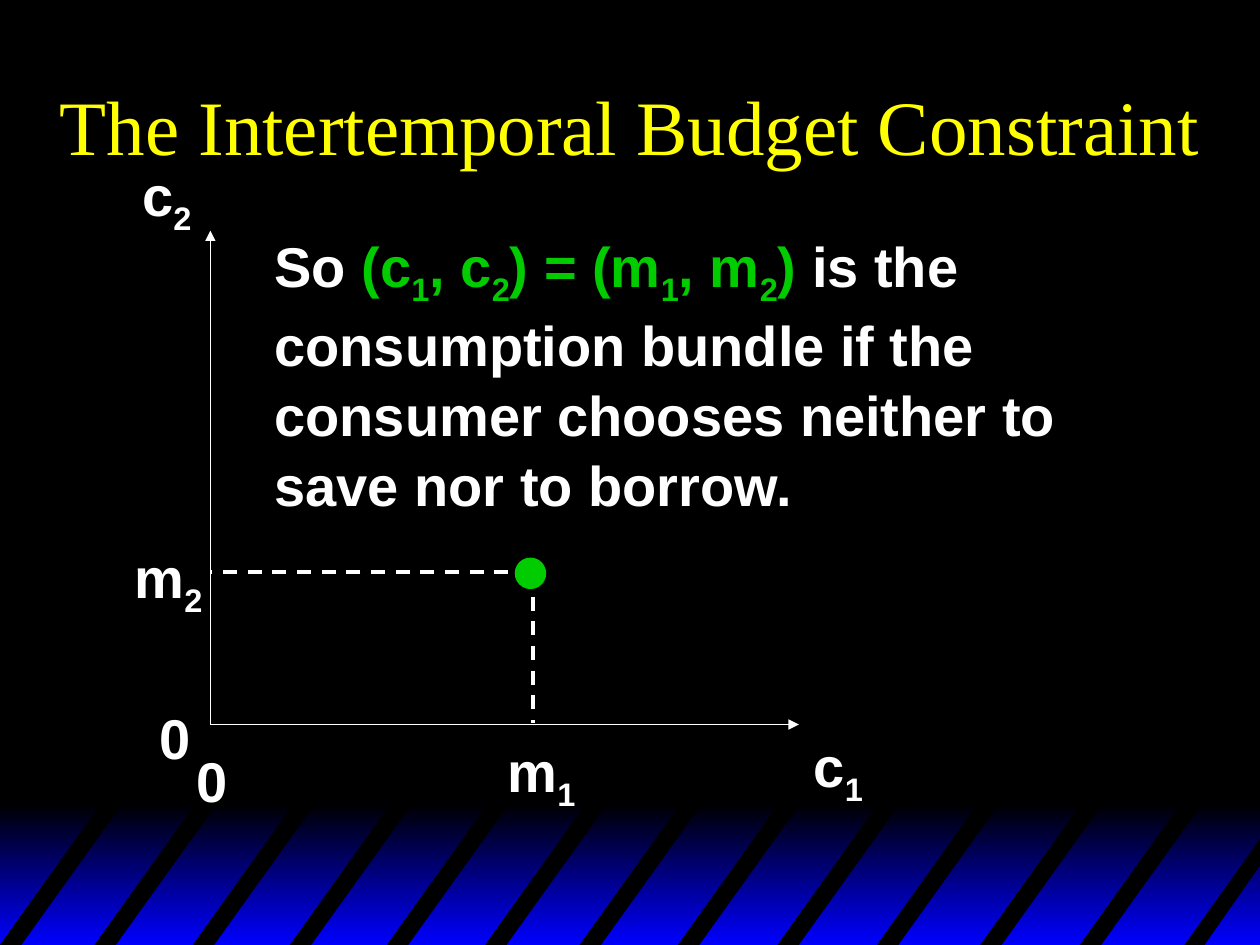
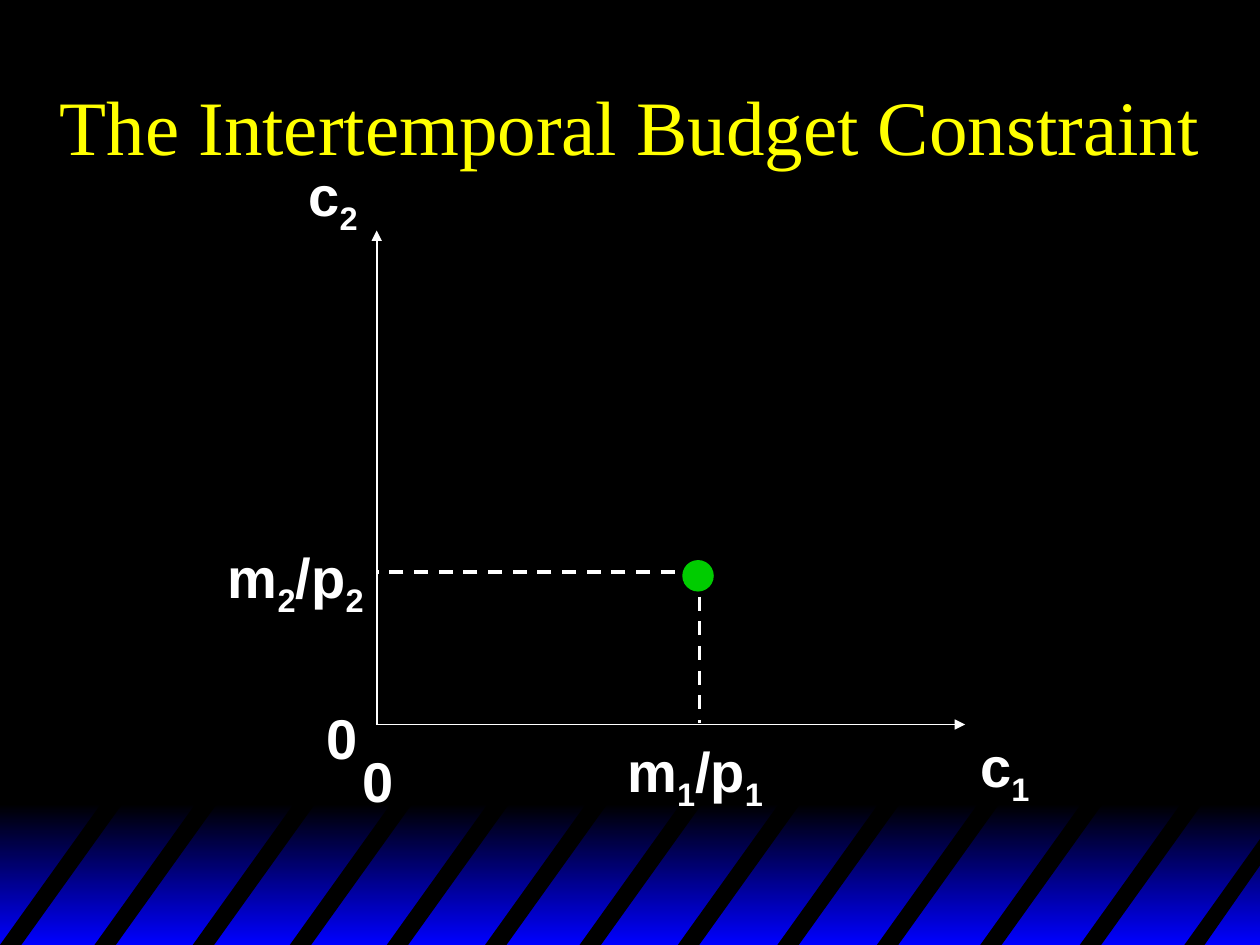
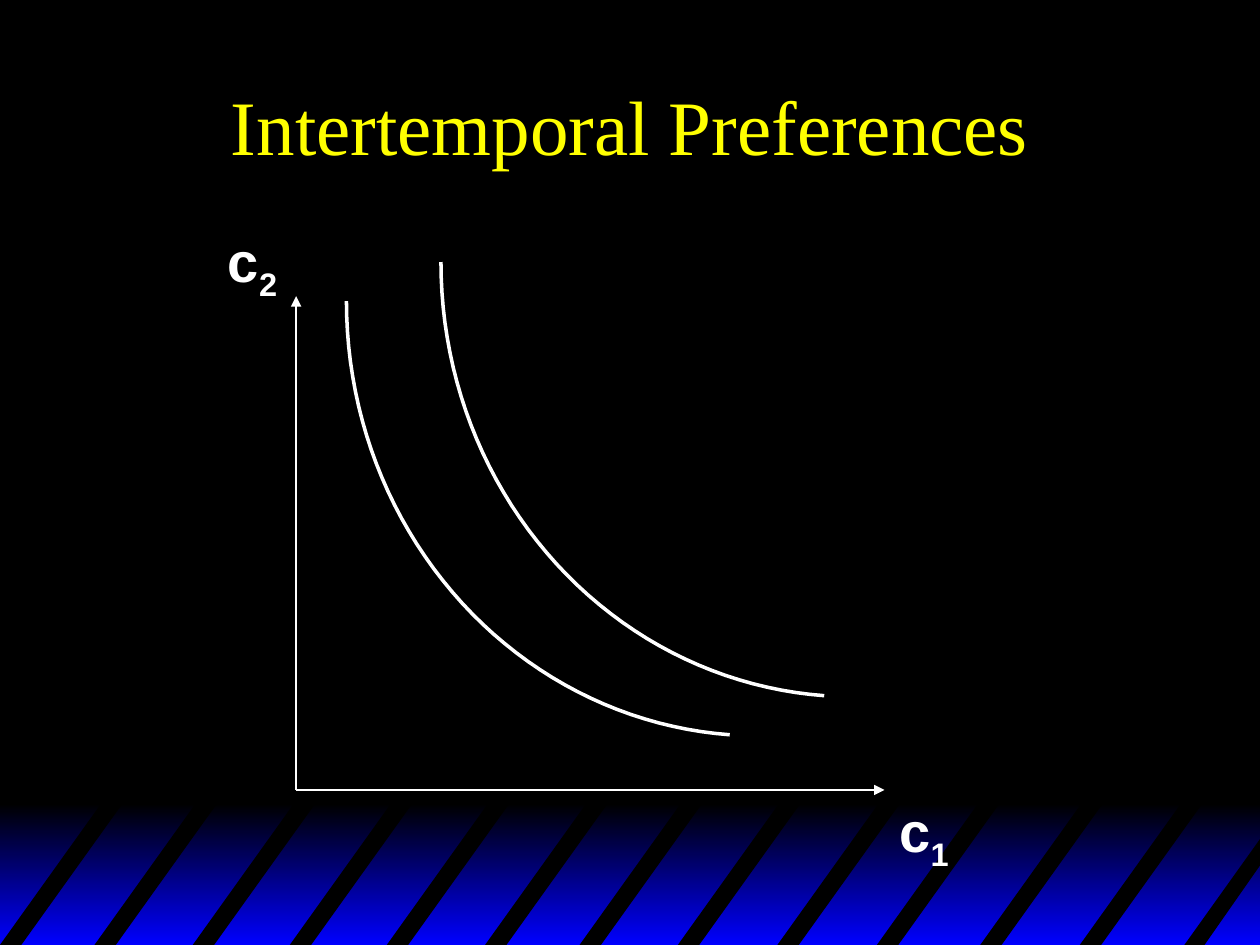
import math
from dataclasses import dataclass

from lxml import etree
from pptx import Presentation
from pptx import util as u
from pptx.dml.color import RGBColor
from pptx.enum import dml, shapes, text
from pptx.oxml import ns


@dataclass(frozen=True)
class Theme:
    background = RGBColor(0, 0, 0)
    band = RGBColor(0, 0, 255)
    title = RGBColor(255, 255, 0)
    ink = RGBColor(255, 255, 255)
    accent = RGBColor(0, 204, 0)
    title_font = "Times New Roman"
    label_font = "Arial"
    title_size = u.Pt(44)
    label_size = u.Pt(32)
    axis_width = u.Pt(1)
    curve_width = u.Pt(2)


theme = Theme()
presentation = Presentation()
presentation.slide_width = u.Inches(10)
presentation.slide_height = u.Inches(7.5)
columns, rows = 10, 7.5
cell = presentation.slide_width // columns


def place(*lengths):
    return [round(length * cell) for length in lengths]


def write(slide, box, content, font, size, color, top_inset, highlighted=()):
    text_frame = slide.shapes.add_textbox(*place(*box)).text_frame
    text_frame.margin_top = place(top_inset)[0]
    paragraph = text_frame.paragraphs[0]
    paragraph.line_spacing = 1.04
    for index, piece in enumerate(content.split("|")):
        if piece == "\n":
            paragraph.add_line_break()
            continue
        run = paragraph.add_run()
        run.text = piece.removeprefix("_")
        run.font.name = font
        run.font.size = size
        run.font.bold = font == theme.label_font
        run.font.color.rgb = theme.accent if index in highlighted else color
        if piece.startswith("_"):
            run.font._element.set("baseline", "-25000")
    return text_frame


budget_title = "The Intertemporal Budget Constraint"
bundle_text = (
    "So |(c|_1|, c|_2|) = (m|_1|, m|_2|)| is the|\n|consumption bundle if the|\n|"
    "consumer chooses neither to|\n|save nor to borrow."
)
zeros = [((-0.21, 0.05, 0.45, 0.63), "0"), ((-0.5, -0.29, 0.45, 0.63), "0")]
diagrams = [
    {
        "title": budget_title,
        "origin": (1.67, 5.75),
        "labels": zeros + [((-0.7, -1.57, 0.74, 0.71), "m|_2"), ((2.26, -0.03, 0.74, 0.71), "m|_1")],
        "bundle": (2.54, -1.2),
        "curves": [],
    },
    {
        "title": budget_title,
        "origin": (2.99, 5.75),
        "labels": zeros + [((-1.28, -1.57, 1.28, 0.71), "m|_2|/p|_2"), ((1.89, -0.03, 1.28, 0.71), "m|_1|/p|_1")],
        "bundle": (2.55, -1.18),
        "curves": [],
    },
    {
        "title": "Intertemporal Preferences",
        "origin": (2.35, 6.27),
        "labels": [],
        "bundle": None,
        "curves": [(6.02, 2.39), (6.77, 2.08)],
    },
]
axis_labels = [((4.69, -0.07, 0.59, 0.71), "c|_1"), ((-0.64, -4.6, 0.59, 0.71), "c|_2")]
axes = [((0, 0), (0, -3.92)), ((0, 0), (4.67, 0))]
guides = [((2.56, -1.21), (0, -1.21)), ((2.56, -1.21), (2.56, -0.01))]
dot_size = 0.25
curve_radii = (3.27, 3.45)

stripe_top = 6.34
stripe_lean, stripe_width = 0.83, 0.17
stripe_starts = [0, 0.75, 1.53, 2.3, 3.07, 3.85, 4.6, 5.38, 6.17, 6.96, 7.78, 8.57]
stripes = [
    [(start, rows), (start + stripe_lean, stripe_top),
     (start + stripe_lean + stripe_width, stripe_top), (start + stripe_width, rows)]
    for start in stripe_starts
]
stripes.append([(9.4, rows), (columns, 6.66), (columns, 6.87), (9.56, rows)])

background = presentation.slide_master.background.fill
background.solid()
background.fore_color.rgb = theme.background

for diagram in diagrams:
    slide = presentation.slides.add_slide(presentation.slide_layouts[6])
    left, top = diagram["origin"]

    band = slide.shapes.add_shape(shapes.MSO_SHAPE.RECTANGLE, *place(0, 6.38, columns, rows - 6.38))
    band.shadow.inherit = False
    band.line.fill.background()
    band.fill.gradient()
    band.fill.gradient_angle = 270
    for stop, position, color in zip(band.fill.gradient_stops, (0, 1), (theme.background, theme.band)):
        stop.position = position
        stop.color.rgb = color

    for corners in stripes:
        builder = slide.shapes.build_freeform(*place(*corners[0]))
        builder.add_line_segments([place(*corner) for corner in corners[1:]], close=True)
        stripe = builder.convert_to_shape()
        stripe.shadow.inherit = False
        stripe.fill.solid()
        stripe.fill.fore_color.rgb = theme.background
        stripe.line.fill.background()

    title_frame = write(slide, (0, 0.25, columns, 1.33), diagram["title"],
                        theme.title_font, theme.title_size, theme.title, 0.17)
    title_frame.word_wrap = True
    title_frame.vertical_anchor = text.MSO_ANCHOR.MIDDLE
    title_frame.paragraphs[0].alignment = text.PP_ALIGN.CENTER

    for start, end in axes + (guides if diagram["bundle"] else []):
        line = slide.shapes.add_connector(
            shapes.MSO_CONNECTOR.STRAIGHT,
            *place(left + start[0], top + start[1], left + end[0], top + end[1]),
        )
        etree.SubElement(line._element.spPr, ns.qn("a:effectLst"))
        line.line.color.rgb = theme.ink
        if (start, end) in axes:
            line.line.width = theme.axis_width
            etree.SubElement(line.line._get_or_add_ln(), ns.qn("a:tailEnd"), type="triangle")
        else:
            line.line.width = theme.curve_width
            line.line.dash_style = dml.MSO_LINE.DASH

    if diagram["bundle"]:
        dot_left, dot_top = diagram["bundle"]
        dot = slide.shapes.add_shape(
            shapes.MSO_SHAPE.OVAL,
            *place(left + dot_left - dot_size / 2, top + dot_top - dot_size / 2, dot_size, dot_size),
        )
        dot.shadow.inherit = False
        dot.fill.solid()
        dot.fill.fore_color.rgb = theme.accent
        dot.line.fill.background()

    for center_x, center_y in diagram["curves"]:
        points = [
            place(center_x + curve_radii[0] * math.cos(math.radians(angle)),
                  center_y + curve_radii[1] * math.sin(math.radians(angle)))
            for angle in range(94, 181, 2)
        ]
        builder = slide.shapes.build_freeform(*points[0])
        builder.add_line_segments(points[1:], close=False)
        curve = builder.convert_to_shape()
        curve.shadow.inherit = False
        curve.fill.background()
        curve.line.color.rgb = theme.ink
        curve.line.width = theme.curve_width

    for (x, y, width, height), label in axis_labels + diagram["labels"]:
        label_frame = write(slide, (left + x, top + y, width, height), label,
                            theme.label_font, theme.label_size, theme.ink, 0.1)
        label_frame.word_wrap = False

write(presentation.slides[0], (2.08, 1.71, 6.53, 2.31), bundle_text, theme.label_font,
      theme.label_size, theme.ink, 0.1, range(1, 10)).word_wrap = False

presentation.save("out.pptx")
